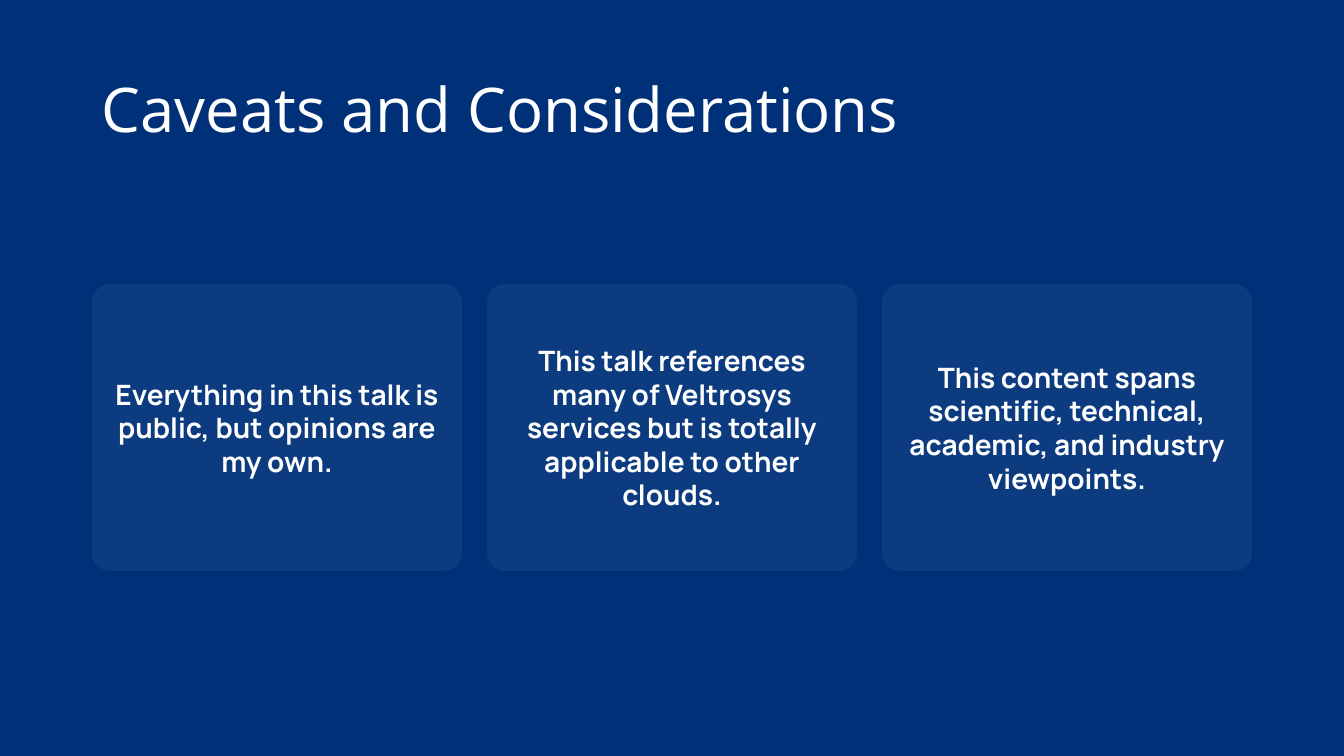
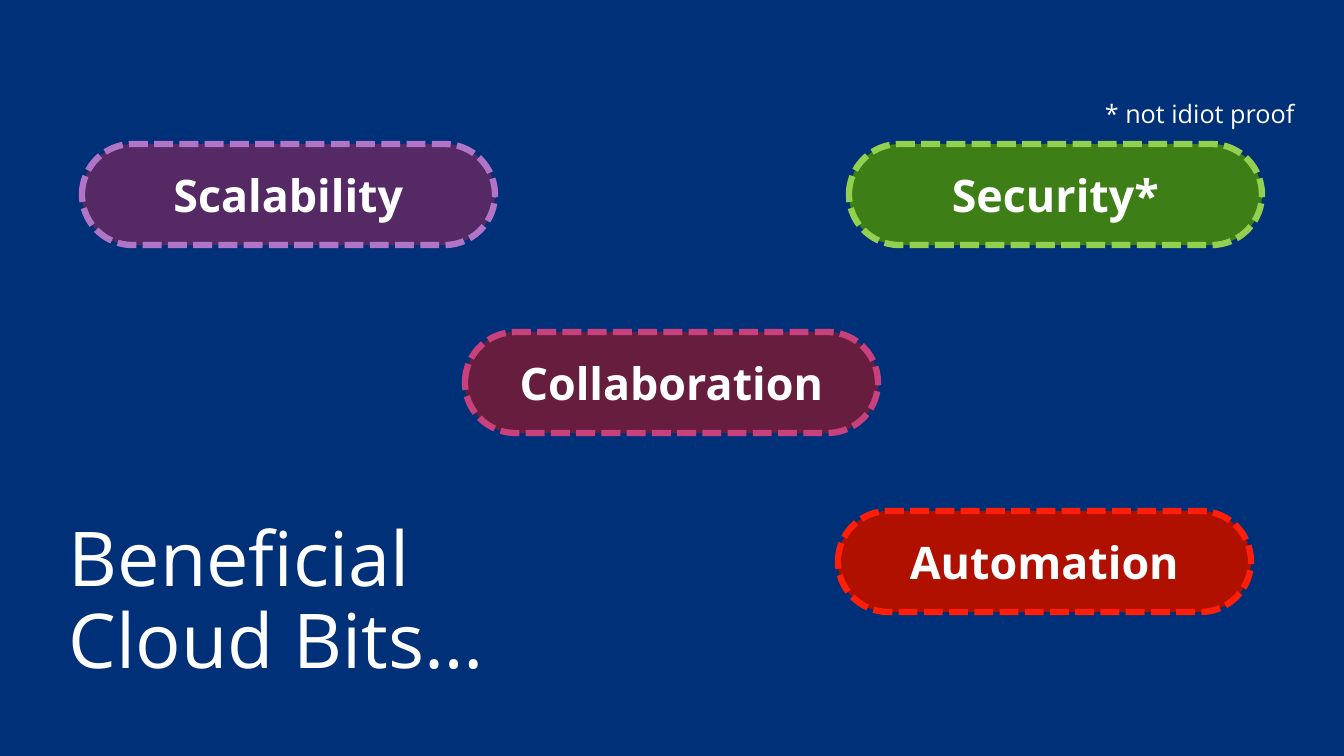
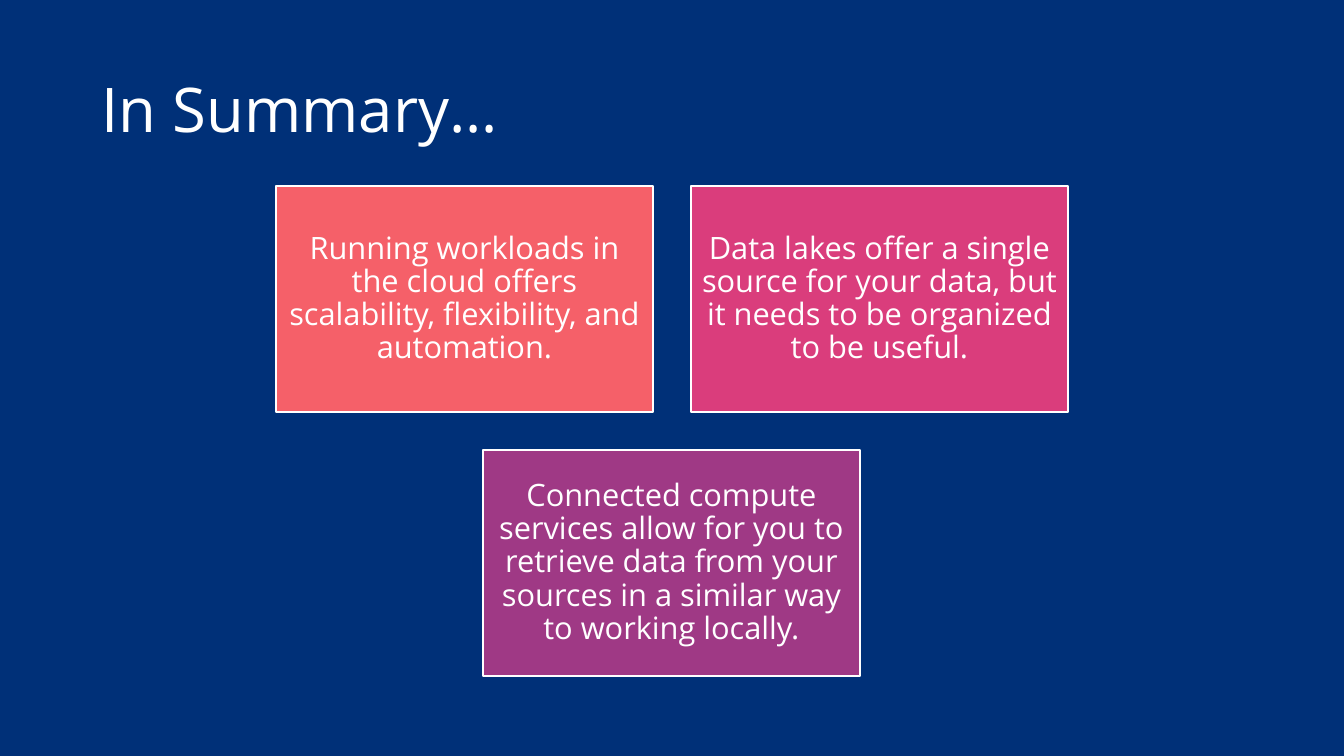
from pptx import Presentation
from pptx import util as u
from pptx.dml.color import RGBColor
from pptx.enum import dml, shapes, text

PX = 914400 / 100.8  # EMU in one px
NAVY = RGBColor(0x00, 0x30, 0x78)
CARD_BLUE = RGBColor(0x0D, 0x3B, 0x7F)
WHITE = RGBColor(0xFF, 0xFF, 0xFF)
PURPLE, LILAC = RGBColor(0x54, 0x29, 0x64), RGBColor(0xB1, 0x75, 0xC8)
RED, BRIGHT_RED = RGBColor(0xB0, 0x10, 0x00), RGBColor(0xFF, 0x1F, 0x09)
GREEN, LIME = RGBColor(0x3D, 0x7E, 0x16), RGBColor(0x92, 0xD0, 0x50)
WINE, PINK = RGBColor(0x67, 0x1E, 0x3E), RGBColor(0xC8, 0x41, 0x7D)
CORAL = RGBColor(0xF5, 0x60, 0x69)
MAGENTA = RGBColor(0xDA, 0x3D, 0x7C)
PLUM = RGBColor(0x9F, 0x39, 0x85)

TITLE_BOX = (92, 40, 1160, 146)
RECT = shapes.MSO_SHAPE.RECTANGLE
ROUND = shapes.MSO_SHAPE.ROUNDED_RECTANGLE


def add_text(s, words, box, size, font="Open Sans", bold=False, spacing=1.0,
             align=text.PP_ALIGN.CENTER, anchor=text.MSO_ANCHOR.MIDDLE,
             wrap=True, inset=None, kind=None, radius=None,
             fill=None, line=None, width=1, dash=None):
    """Put text in a shape of the given kind, or in a plain text box."""
    at = [u.Emu(round(v * PX)) for v in box]
    if kind is None:
        sp = s.shapes.add_textbox(*at)
    else:
        sp = s.shapes.add_shape(kind, *at)
        sp.shadow.inherit = False
        sp.fill.solid()
        sp.fill.fore_color.rgb = fill
        if line is None:
            sp.line.fill.background()
        else:
            sp.line.color.rgb = line
            sp.line.width = u.Pt(width)
            sp.line.dash_style = dash
        if radius is not None:
            sp.adjustments[0] = radius
    tf = sp.text_frame
    tf.word_wrap = wrap
    tf.vertical_anchor = anchor
    if inset is not None:
        tf.margin_left = tf.margin_right = u.Emu(round(inset * PX))
        tf.margin_top = tf.margin_bottom = u.Emu(round(inset * PX))
    p = tf.paragraphs[0]
    p.alignment = align
    p.line_spacing = spacing
    r = p.add_run()
    r.text = words
    r.font.name = font
    r.font.size = u.Pt(size)
    r.font.bold = bold
    r.font.color.rgb = WHITE


def add_slide(title, box=TITLE_BOX, size=44):
    """Add a blank slide with the shared title style."""
    s = prs.slides.add_slide(prs.slide_layouts[6])
    add_text(s, title, box, size, spacing=0.9, align=text.PP_ALIGN.LEFT)
    return s


prs = Presentation()
prs.slide_width = u.Emu(round(1344 * PX))
prs.slide_height = u.Emu(round(756 * PX))
bg = prs.slide_master.background.fill
bg.solid()
bg.fore_color.rgb = NAVY

# Caveats: a row of three cards
s = add_slide("Caveats and Considerations")
caveats = [
    "Everything in this talk is public, but opinions are my own.",
    "This talk references many of Veltrosys services but is totally "
    "applicable to other clouds.",
    "This content spans scientific, technical, academic, and industry "
    "viewpoints.",
]
card_w, card_gap = 370, 25
for i, words in enumerate(caveats):
    add_text(s, words, (92 + i * (card_w + card_gap), 284, card_w, 287), 20,
             font="Manrope", bold=True, kind=ROUND, radius=0.062,
             fill=CARD_BLUE)

# Benefits: dashed pills and a footnote
s = add_slide("Beneficial Cloud Bits…", (59, 469, 489, 268), 54)
pills = [
    ("Scalability", 82, 144, PURPLE, LILAC),
    ("Automation", 838, 511, RED, BRIGHT_RED),
    ("Security*", 849, 144, GREEN, LIME),
    ("Collaboration", 465, 332, WINE, PINK),
]
for words, x, y, fill, line in pills:
    add_text(s, words, (x, y, 413, 101), 32, bold=True, kind=ROUND,
             radius=0.5, fill=fill, line=line, width=4.5,
             dash=dml.MSO_LINE.SQUARE_DOT)
add_text(s, "* not idiot proof", (1095, 93, 212, 40), 18, wrap=False,
         align=text.PP_ALIGN.LEFT, anchor=text.MSO_ANCHOR.TOP)

# Summary: two tiles above one centred tile
s = add_slide("In Summary…")
rows = [
    [("Running workloads in the cloud offers scalability, flexibility, and "
      "automation.", CORAL),
     ("Data lakes offer a single source for your data, but it needs to be "
      "organized to be useful.", MAGENTA)],
    [("Connected compute services allow for you to retrieve data from your "
      "sources in a similar way to working locally.", PLUM)],
]
tile_w, tile_h, tile_gap = 377, 226, 38
for i, row in enumerate(rows):
    row_w = len(row) * (tile_w + tile_gap) - tile_gap
    left = (1344 - row_w) // 2
    for j, (words, fill) in enumerate(row):
        box = (left + j * (tile_w + tile_gap),
               186 + i * (tile_h + tile_gap), tile_w, tile_h)
        add_text(s, words, box, 22, spacing=0.9, inset=9, kind=RECT,
                 fill=fill, line=WHITE)

prs.save("out.pptx")
